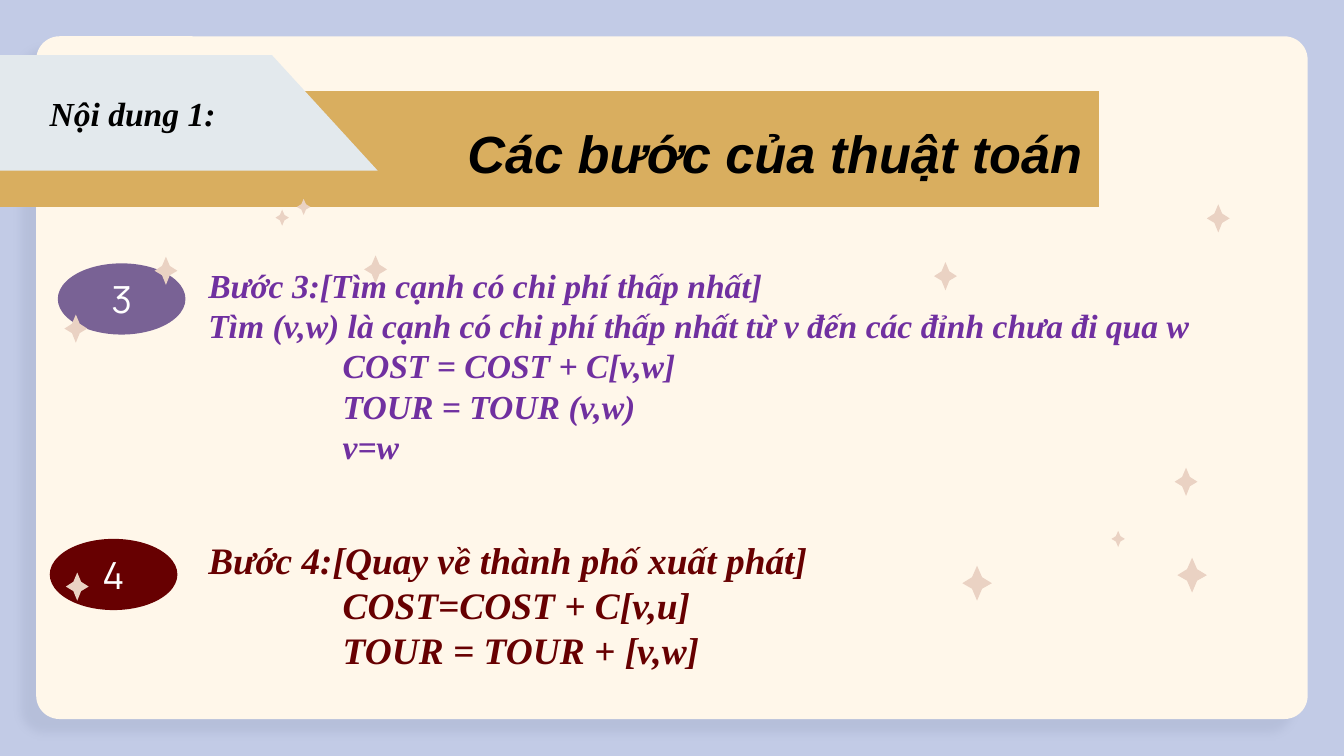
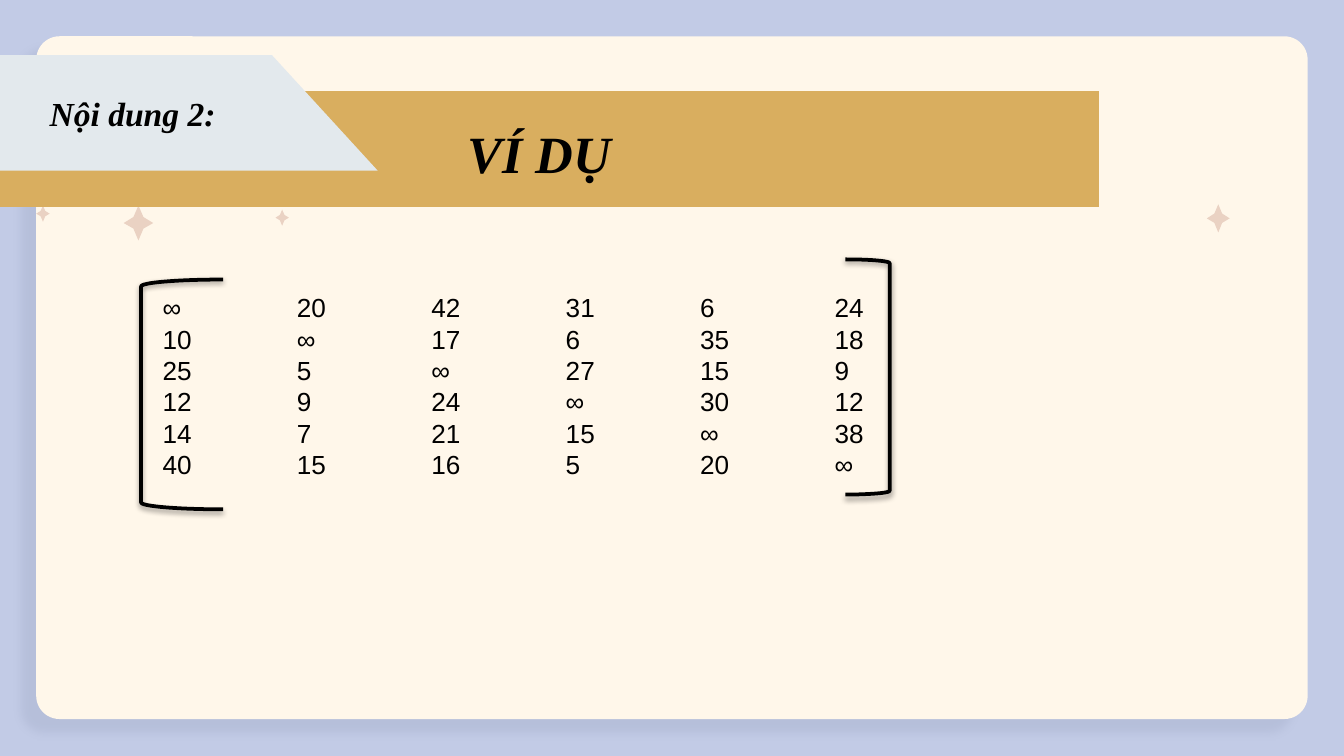
from lxml import etree
from pptx import Presentation
from pptx.dml.color import RGBColor
from pptx.enum.shapes import MSO_SHAPE as SHAPE
from pptx.enum.text import MSO_ANCHOR as ANCHOR, PP_ALIGN as ALIGN
from pptx.oxml.ns import qn
from pptx.util import Inches, Pt

COLORS = {
    "background": "C2CBE6", "card": "FFF7EA", "card_shadow": "515B7A",
    "band": "D9AE5F", "flag": "E3E9ED", "star": "EAD2C3", "ink": "000000",
    "step3_oval": "796295", "step3": "7030A0", "step4": "670001", "white": "FFFFFF",
}
SERIF, SANS, DIGIT = "Times New Roman", "Arial", "Manrope"

# Outlines as fractions of their width and height
RECTANGLE = [(0, 0), (0, 1), (1, 1), (1, 0)]
FLAG = [(0, 0), (0, 1), (1, 1), (0.72, 0)]
STAR = [(0.5, 0), (0.33, 0.33), (0, 0.5), (0.33, 0.66),
        (0.5, 1), (0.67, 0.66), (1, 0.5), (0.67, 0.33)]
SMALL, MEDIUM, LARGE = (0.1, 0.12), (0.17, 0.21), (0.22, 0.26)


def draw_outline(shapes, outline, left, top, width, height, color):
    points = [(Inches(left + x * width), Inches(top + y * height)) for x, y in outline]
    builder = shapes.build_freeform(*points[0])
    builder.add_line_segments(points[1:], close=True)
    shape = builder.convert_to_shape()
    shape.fill.solid()
    shape.fill.fore_color.rgb = RGBColor.from_string(COLORS[color])
    shape.line.fill.background()
    shape.shadow.inherit = False


def write_text(slide, box, lines, size, font, color, strong=True, inset=0.0,
               align=ALIGN.LEFT, anchor=ANCHOR.TOP):
    frame = slide.shapes.add_textbox(*map(Inches, box)).text_frame
    frame.word_wrap = True
    frame.vertical_anchor = anchor
    frame.margin_left = frame.margin_right = Inches(inset)
    frame.margin_top = frame.margin_bottom = Inches(inset / 2)
    for number, line in enumerate(lines):
        paragraph = frame.add_paragraph() if number else frame.paragraphs[0]
        paragraph.alignment = align
        # One tab stop per inch
        paragraph._p.get_or_add_pPr().set("defTabSz", str(Inches(1)))
        run = paragraph.add_run()
        run.text = line
        run.font.size = Pt(size)
        run.font.name = font
        run.font.bold = run.font.italic = strong
        run.font.color.rgb = RGBColor.from_string(COLORS[color])


prs = Presentation()
prs.slide_width, prs.slide_height = Inches(10), Inches(5.625)
shadowed = []  # shape, color, opacity %, blur pt, distance pt, direction in degrees

# Shared frame: card, stars behind the band, band with flag, title
shared_stars = [(8.98, 1.52, MEDIUM), (2.05, 1.56, SMALL)]
sections = [
    ("Nội dung 1:", "Các bước của thuật toán", SANS, []),
    ("Nội dung 2:", "VÍ DỤ", SERIF, [(0.27, 1.53, SMALL), (0.92, 1.53, LARGE)]),
]
slides = []
for label, title, title_font, own_stars in sections:
    slide = prs.slides.add_slide(prs.slide_layouts[6])
    slides.append(slide)
    slide.background.fill.solid()
    slide.background.fill.fore_color.rgb = RGBColor.from_string(COLORS["background"])

    card = slide.shapes.add_shape(SHAPE.ROUNDED_RECTANGLE, Inches(0.27), Inches(0.27),
                                  Inches(9.46), Inches(5.08))
    card.adjustments[0] = 0.034
    card.fill.solid()
    card.fill.fore_color.rgb = RGBColor.from_string(COLORS["card"])
    card.line.fill.background()
    shadowed.append((card, "card_shadow", 10, 4.5, 10.5, 137))

    for left, top, star_size in shared_stars + own_stars:
        draw_outline(slide.shapes, STAR, left, top, *star_size, "star")

    banner = slide.shapes.add_group_shape()
    draw_outline(banner.shapes, RECTANGLE, 0, 0.68, 8.18, 0.86, "band")
    draw_outline(banner.shapes, FLAG, 0, 0.41, 2.81, 0.86, "flag")
    write_text(slide, (0.27, 0.64, 2.02, 0.4), [label], 18, SERIF, "ink", inset=0.1)
    write_text(slide, (3.38, 0.85, 4.79, 0.57), [title], 28, title_font, "ink", inset=0.1)

steps_slide, example_slide = slides

# Slide 1: steps 3 and 4 with numbered ovals
steps = [
    ("3", (1.55, 1.97, 8.1, 1.77), 18, "step3", (0.43, 1.96), "step3_oval", [
        "Bước 3:[Tìm cạnh có chi phí thấp nhất]",
        "Tìm (v,w) là cạnh có chi phí thấp nhất từ v đến các đỉnh chưa đi qua w",
        "\tCOST = COST + C[v,w]",
        "\tTOUR = TOUR (v,w)",
        "\tv=w",
    ]),
    ("4", (1.55, 4, 8, 2.16), 20, "step4", (0.37, 4.01), "step4", [
        "Bước 4:[Quay về thành phố xuất phát]",
        "\tCOST=COST + C[v,u]",
        "\tTOUR = TOUR + [v,w]",
    ]),
]
for digit, box, size, color, (left, top), oval_color, lines in steps:
    write_text(steps_slide, box, lines, size, SERIF, color)
    oval = steps_slide.shapes.add_shape(SHAPE.OVAL, Inches(left), Inches(top),
                                        Inches(0.95), Inches(0.53))
    oval.fill.solid()
    oval.fill.fore_color.rgb = RGBColor.from_string(COLORS[oval_color])
    oval.line.fill.background()
    oval.shadow.inherit = False
    write_text(steps_slide, (left + 0.24, top + 0.08, 0.47, 0.37), [digit], 20, DIGIT,
               "white", strong=False, align=ALIGN.CENTER, anchor=ANCHOR.MIDDLE)

# Slide 1: stars in front
front_stars = [
    (1.15, 1.91, MEDIUM), (0.48, 2.34, MEDIUM), (0.49, 4.26, MEDIUM),
    (6.95, 1.95, MEDIUM), (8.74, 3.48, MEDIUM), (8.76, 4.15, LARGE),
    (2.21, 1.48, SMALL), (2.71, 1.9, MEDIUM), (7.16, 4.21, LARGE), (8.27, 3.95, SMALL),
]
for left, top, star_size in front_stars:
    draw_outline(steps_slide.shapes, STAR, left, top, *star_size, "star")

# Slide 2: cost matrix in brackets
costs = [
    ("∞", 20, 42, 31, 6, 24),
    (10, "∞", 17, 6, 35, 18),
    (25, 5, "∞", 27, 15, 9),
    (12, 9, 24, "∞", 30, 12),
    (14, 7, 21, 15, "∞", 38),
    (40, 15, 16, 5, 20, "∞"),
]
write_text(example_slide, (1.21, 2.17, 8.1, 2.81),
           ["\t".join(map(str, row)) for row in costs], 14, SANS, "ink", strong=False)
brackets = [(SHAPE.LEFT_BRACKET, (1.05, 2.08, 0.61, 1.71)),
            (SHAPE.RIGHT_BRACKET, (6.29, 1.93, 0.33, 1.75))]
for kind, box in brackets:
    bracket = example_slide.shapes.add_shape(kind, *map(Inches, box))
    bracket.fill.background()
    bracket.line.color.rgb = RGBColor.from_string(COLORS["ink"])
    bracket.line.width = Pt(2)
    shadowed.append((bracket, "ink", 38, 3.1, 1.6, 90))

# Shadows
for shape, color, opacity, blur, distance, direction in shadowed:
    shape.shadow.inherit = False
    effects = shape.element.spPr.find(qn("a:effectLst"))
    shadow = etree.SubElement(effects, qn("a:outerShdw"), blurRad=str(Pt(blur)),
                              dist=str(Pt(distance)), dir=str(direction * 60000),
                              algn="bl", rotWithShape="0")
    tint = etree.SubElement(shadow, qn("a:srgbClr"), val=COLORS[color])
    etree.SubElement(tint, qn("a:alpha"), val=str(opacity * 1000))

prs.save("out.pptx")
